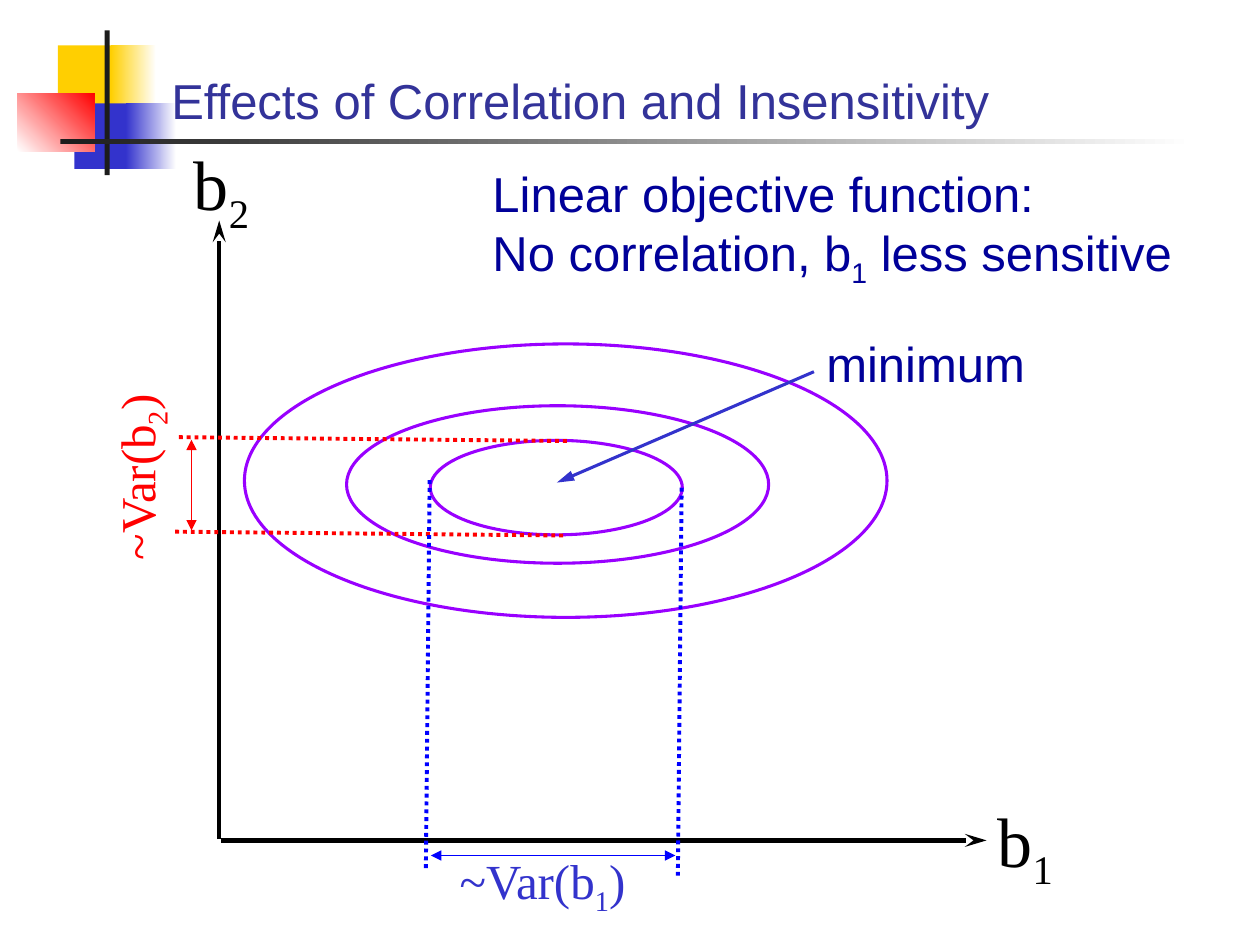
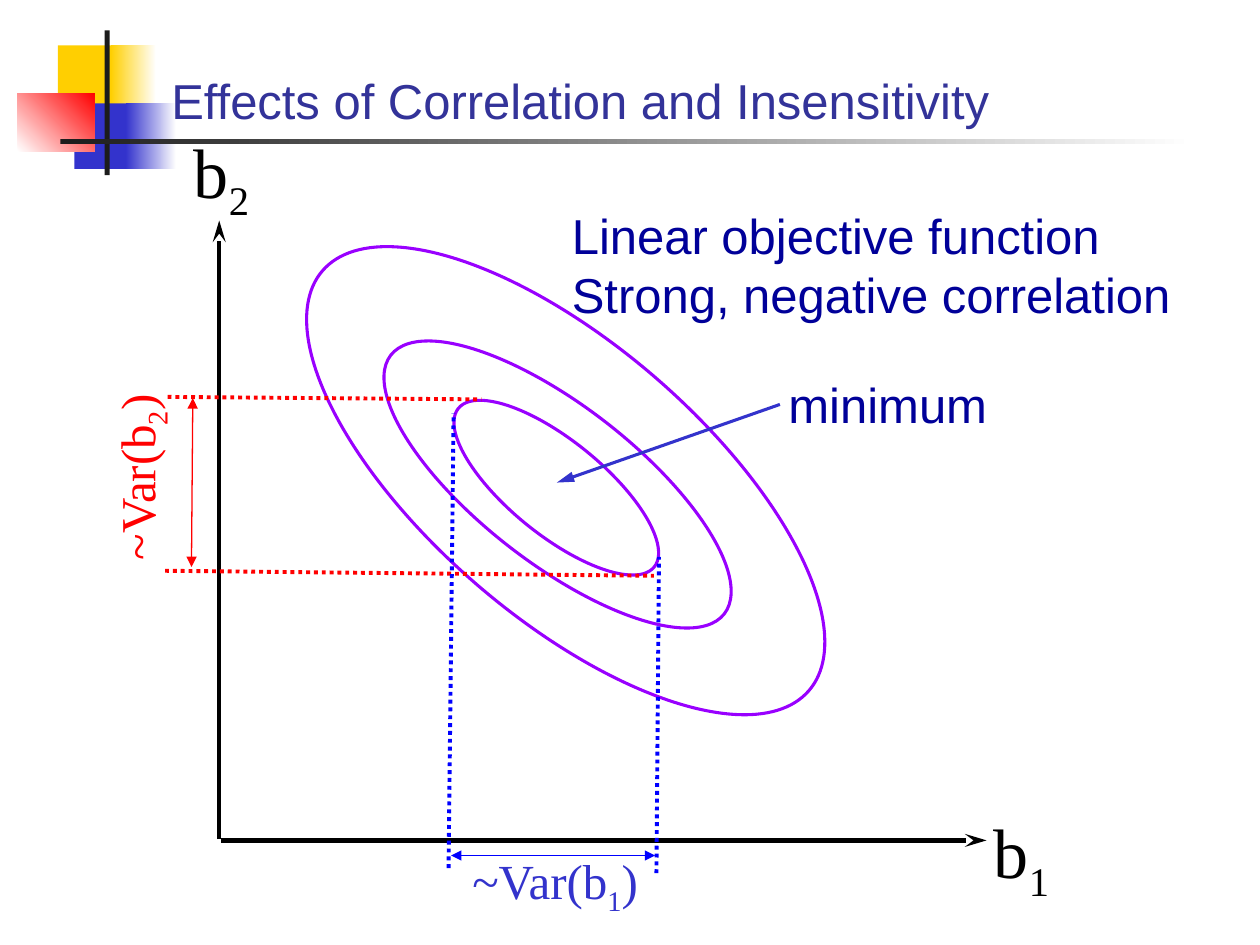
"""Two slides on how correlation and insensitivity shape parameter variance."""
from lxml import etree
from pptx import Presentation
from pptx import util as u
from pptx.dml.color import RGBColor
from pptx.enum import dml, shapes, text
from pptx.oxml.ns import qn

SANS, SERIF = "Arial", "Times New Roman"
BLACK, WHITE, DARK = "000000", "FFFFFF", "1C1C1C"
YELLOW, BLUE, RED = "FFCF01", "3333CC", "FF0000"
TITLE, NAVY, PURPLE, BRIGHT = "333399", "000099", "9900FF", "0000FF"

BANDS = [
    ((0.46, 0.36, 0.48, 0.52), [YELLOW], 0),
    ((0.88, 0.36, 0.36, 0.52), [YELLOW, WHITE], 0),
    ((0.59, 0.82, 0.46, 0.52), [BLUE], 0),
    ((1, 0.82, 0.4, 0.52), [BLUE, WHITE], 0),
    ((0.14, 0.74, 0.61, 0.46), [WHITE, RED], 45),
    ((0.83, 0.24, 0.04, 1.15), [DARK], 0),
    ((0.48, 1.1, 9, 0.04), [DARK, WHITE], 0),
]
CONTOURS = [(4.04, 2.87, 0.75, 2), (3.8, 2.17, 1.25, 3.35), (1.94, 2.73, 5.1, 2.17)]
MINIMUM = (4.42, 3.83)

SLIDES = [
    dict(
        b1=(7.82, 6.28), b2=(1.44, 1.07), turns=(90, 90, 0),
        pointer=(6.46, 2.95), minimum=(6.46, 2.6),
        note=(3.81, 1.25, 5.59, 1.1),
        lines=["Linear objective function:", "No correlation, b_1 less sensitive"],
        b2_limits=[((1.39, 4.22), (4.47, 4.25)), ((1.42, 3.47), (4.5, 3.5))],
        b2_range=((1.52, 3.49), (1.52, 4.21)),
        b1_limits=[((3.38, 6.89), (3.41, 3.81)), ((5.38, 6.95), (5.41, 3.87))],
        b1_range=((3.42, 6.79), (5.36, 6.79)), var_b1=(3.55, 6.7),
    ),
    dict(
        b1=(7.79, 6.37), b2=(1.44, 0.97), turns=(129, 127.8, 40.8),
        pointer=(6.19, 3.21), minimum=(6.16, 2.92),
        note=(4.44, 1.58, 4.95, 1.04),
        lines=["Linear objective function", "Strong, negative correlation"],
        b2_limits=[((1.31, 4.53), (5.19, 4.57)), ((1.33, 3.15), (3.82, 3.17))],
        b2_range=((1.53, 3.16), (1.52, 4.5)),
        b1_limits=[((3.56, 6.89), (3.6, 3.28)), ((5.21, 6.93), (5.23, 4.42))],
        b1_range=((3.58, 6.79), (5.2, 6.79)), var_b1=(3.65, 6.7),
    ),
]


def rgb(value):
    return RGBColor.from_string(value)


def inches(values):
    return [u.Inches(v) for v in values]


def write(p, content, size=28, font=SANS, color=NAVY):
    first, *rest = content.split("_")
    pieces = [(first, None)]
    for part in rest:
        pieces += [(part[0], "-25000"), (part[1:], None)]
    for piece, baseline in pieces:
        if piece:
            r = p.add_run()
            r.text = piece
            r.font.size, r.font.name = u.Pt(size), font
            r.font.color.rgb = rgb(color)
            if baseline:
                r._r.get_or_add_rPr().set("baseline", baseline)


class Deck:
    def __init__(self):
        self.prs = Presentation()
        self.prs.slide_width, self.prs.slide_height = inches((10, 7.5))
        self.s = None

    def slide(self, title):
        self.s = self.prs.slides.add_slide(self.prs.slide_layouts[5])
        for at, colors, angle in BANDS:
            self.band(at, colors, angle)
        sp = self.s.shapes.title
        sp.left, sp.top, sp.width, sp.height = inches((1.26, 0.33, 8.52, 0.75))
        tf = sp.text_frame
        tf.auto_size = text.MSO_AUTO_SIZE.NONE
        tf.vertical_anchor = text.MSO_ANCHOR.BOTTOM
        tf.paragraphs[0].alignment = text.PP_ALIGN.LEFT
        write(tf.paragraphs[0], title, color=TITLE)
        sp.element.getparent().append(sp.element)

    def shape(self, kind, at):
        sp = self.s.shapes.add_shape(kind, *inches(at))
        sp.shadow.inherit = False
        return sp

    def band(self, at, colors, angle):
        sp = self.shape(shapes.MSO_SHAPE.RECTANGLE, at)
        sp.line.fill.background()
        if len(colors) == 1:
            sp.fill.solid()
            sp.fill.fore_color.rgb = rgb(colors[0])
            return
        sp.fill.gradient()
        sp.fill.gradient_angle = angle
        for position, (stop, color) in enumerate(zip(sp.fill.gradient_stops, colors)):
            stop.position = position
            stop.color.rgb = rgb(color)

    def contour(self, at, turn):
        sp = self.shape(shapes.MSO_SHAPE.OVAL, at)
        sp.fill.background()
        sp.line.color.rgb, sp.line.width = rgb(PURPLE), u.Pt(1.75)
        sp.rotation = turn

    def line(self, start, end, color, width, dotted=False, head=None, tail=None, length="med"):
        c = self.s.shapes.add_connector(
            shapes.MSO_CONNECTOR.STRAIGHT, *inches((*start, *end)))
        c.line.color.rgb, c.line.width = rgb(color), u.Pt(width)
        if dotted:
            c.line.dash_style = dml.MSO_LINE.ROUND_DOT
        spPr = c.element.spPr
        for tag, kind in (("a:headEnd", head), ("a:tailEnd", tail)):
            if kind:
                etree.SubElement(spPr.find(qn("a:ln")), qn(tag), type=kind, len=length)
        etree.SubElement(spPr, qn("a:effectLst"))

    def label(self, at, lines, turn=0, **style):
        sp = self.s.shapes.add_textbox(*inches(at))
        sp.rotation = turn
        tf = sp.text_frame
        tf.word_wrap = False
        tf.auto_size = text.MSO_AUTO_SIZE.SHAPE_TO_FIT_TEXT
        for i, content in enumerate(lines):
            write(tf.add_paragraph() if i else tf.paragraphs[0], content, **style)

    def spread(self, limits, span, color):
        for start, end in limits:
            self.line(start, end, color, 2.25, dotted=True)
        self.line(*span, color, 0.75, head="triangle", tail="triangle")

    def plot(self, d):
        self.line((1.74, 6.66), (1.74, 1.75), BLACK, 2.5, tail="stealth", length="lg")
        self.line((1.75, 6.67), (7.83, 6.67), BLACK, 2.5, tail="stealth", length="lg")
        for name, corner in (("b_1", d["b1"]), ("b_2", d["b2"])):
            self.label((*corner, 0.64, 0.86), [name], size=40, font=SERIF, color=BLACK)
        for at, turn in zip(CONTOURS, d["turns"]):
            self.contour(at, turn)
        self.line(d["pointer"], MINIMUM, BLUE, 1.75, tail="triangle", length="lg")
        self.label((*d["minimum"], 1.8, 0.57), ["minimum"])
        self.label(d["note"], d["lines"])
        self.spread(d["b2_limits"], d["b2_range"], RED)
        self.label((0.33, 3.45, 1.56, 0.63), ["~Var(b_2)"], turn=270, font=SERIF, color=RED)
        self.spread(d["b1_limits"], d["b1_range"], BRIGHT)
        self.label((*d["var_b1"], 1.56, 0.63), ["~Var(b_1)"], font=SERIF, color=BLUE)


def main():
    deck = Deck()
    for d in SLIDES:
        deck.slide("Effects of Correlation and Insensitivity")
        deck.plot(d)
    deck.prs.save("out.pptx")


if __name__ == "__main__":
    main()
